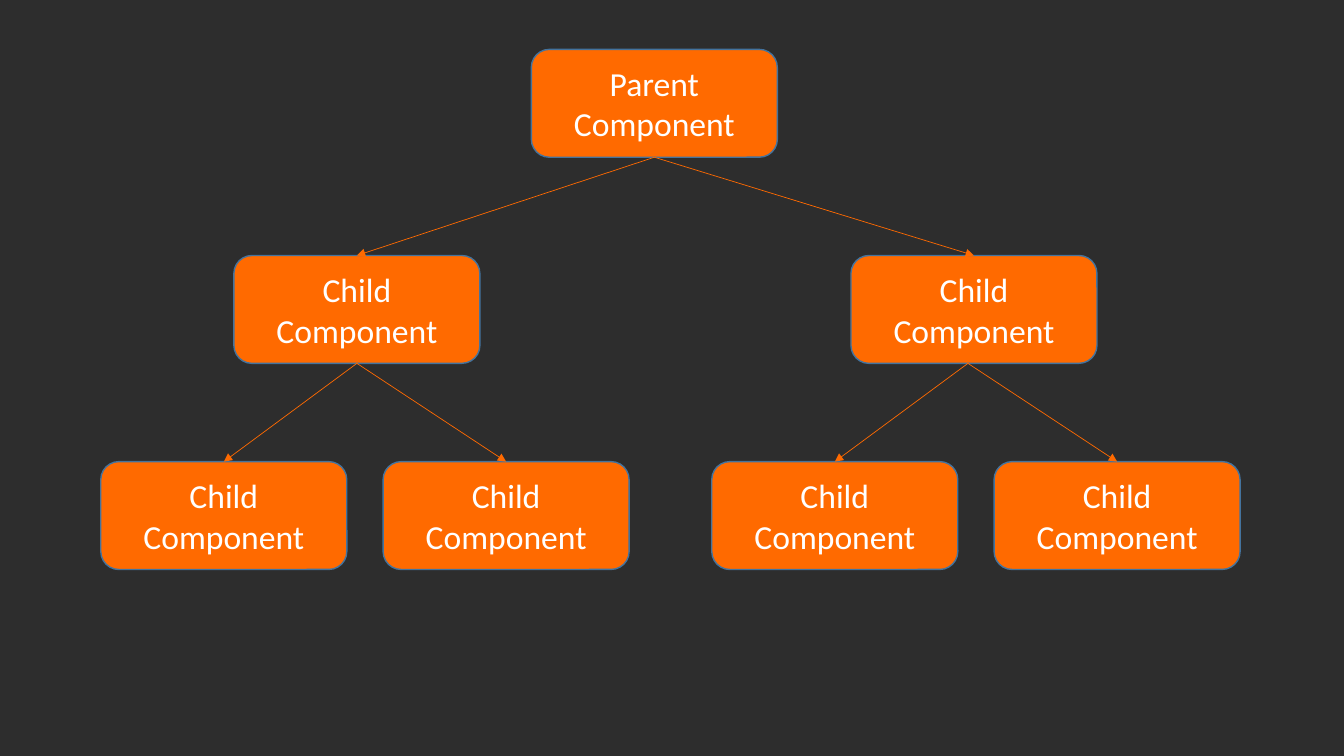
from lxml import etree
from pptx import Presentation
from pptx.dml.color import RGBColor
from pptx.enum.shapes import MSO_CONNECTOR, MSO_SHAPE
from pptx.enum.text import MSO_ANCHOR, PP_ALIGN
from pptx.oxml.ns import qn
from pptx.util import Inches, Pt

ROUNDED = MSO_SHAPE.ROUNDED_RECTANGLE
STRAIGHT = MSO_CONNECTOR.STRAIGHT
MIDDLE = MSO_ANCHOR.MIDDLE
CENTER = PP_ALIGN.CENTER

CHARCOAL = RGBColor(0x2D, 0x2D, 0x2D)
ORANGE = RGBColor(0xFF, 0x6A, 0x00)
BLUE = RGBColor(0x43, 0x73, 0x9E)
WHITE = RGBColor(0xFF, 0xFF, 0xFF)

# The grid: one-inch columns, and one row for each level of the tree.
COLUMN = Inches(1)
ROW = Inches(4.09) // 2
TOP = Inches(0.49)
BOX_WIDTH = Inches(2.44)
BOX_HEIGHT = Inches(1.07)
TOP_SITE = 0

PARENT = 6.49
CHILDREN = (3.54, 9.66)
FORKS = (3.54, 9.6)  # where the arrows leave the two children
LEAF_OFFSETS = (-1.32, 1.48)


class TreeSlide:
    """Holds the slide and the style of the component tree."""

    font = "Calibri"
    text_size = Pt(24)
    outline_width = Pt(1)
    arrow_width = Pt(0.5)

    def __init__(self, slide):
        """Take the slide and paint its background."""
        self.slide = slide
        fill = slide.background.fill
        fill.solid()
        fill.fore_color.rgb = CHARCOAL

    def box(self, label, center, level):
        """Draw a component box centred on a column position."""
        shape = self.slide.shapes.add_shape(
            ROUNDED, int(center * COLUMN) - BOX_WIDTH // 2, TOP + level * ROW,
            BOX_WIDTH, BOX_HEIGHT)
        shape.shadow.inherit = False
        shape.fill.solid()
        shape.fill.fore_color.rgb = ORANGE
        shape.line.color.rgb = BLUE
        shape.line.width = self.outline_width
        text_frame = shape.text_frame
        text_frame.text = label
        text_frame.word_wrap = True
        text_frame.vertical_anchor = MIDDLE
        paragraph = text_frame.paragraphs[0]
        paragraph.alignment = CENTER
        font = paragraph.runs[0].font
        font.name = self.font
        font.size = self.text_size
        font.color.rgb = WHITE
        return shape

    def arrow(self, start, level, target):
        """Draw an arrow from the foot of a level to the top of a box."""
        connector = self.slide.shapes.add_connector(
            STRAIGHT, int(start * COLUMN), TOP + level * ROW + BOX_HEIGHT,
            target.left + target.width // 2, target.top)
        connector.end_connect(target, TOP_SITE)
        connector.line.color.rgb = ORANGE
        connector.line.width = self.arrow_width
        outline = connector.line._get_or_add_ln()
        etree.SubElement(outline, qn("a:tailEnd"), type="triangle")
        etree.SubElement(connector._element.spPr, qn("a:effectLst"))

    def branch(self, start, level, centers):
        """Draw child boxes one level down, each with its arrow."""
        for center in centers:
            child = self.box("Child Component", center, level + 1)
            self.arrow(start, level, child)


def main():
    """Build and save the component tree."""
    presentation = Presentation()
    presentation.slide_width = Inches(13.33)
    presentation.slide_height = Inches(7.5)
    blank = presentation.slide_layouts[6]
    tree = TreeSlide(presentation.slides.add_slide(blank))

    tree.box("Parent Component", PARENT, 0)
    tree.branch(PARENT, 0, CHILDREN)
    for fork in FORKS:
        tree.branch(fork, 1, [fork + offset for offset in LEAF_OFFSETS])

    presentation.save("out.pptx")


main()
